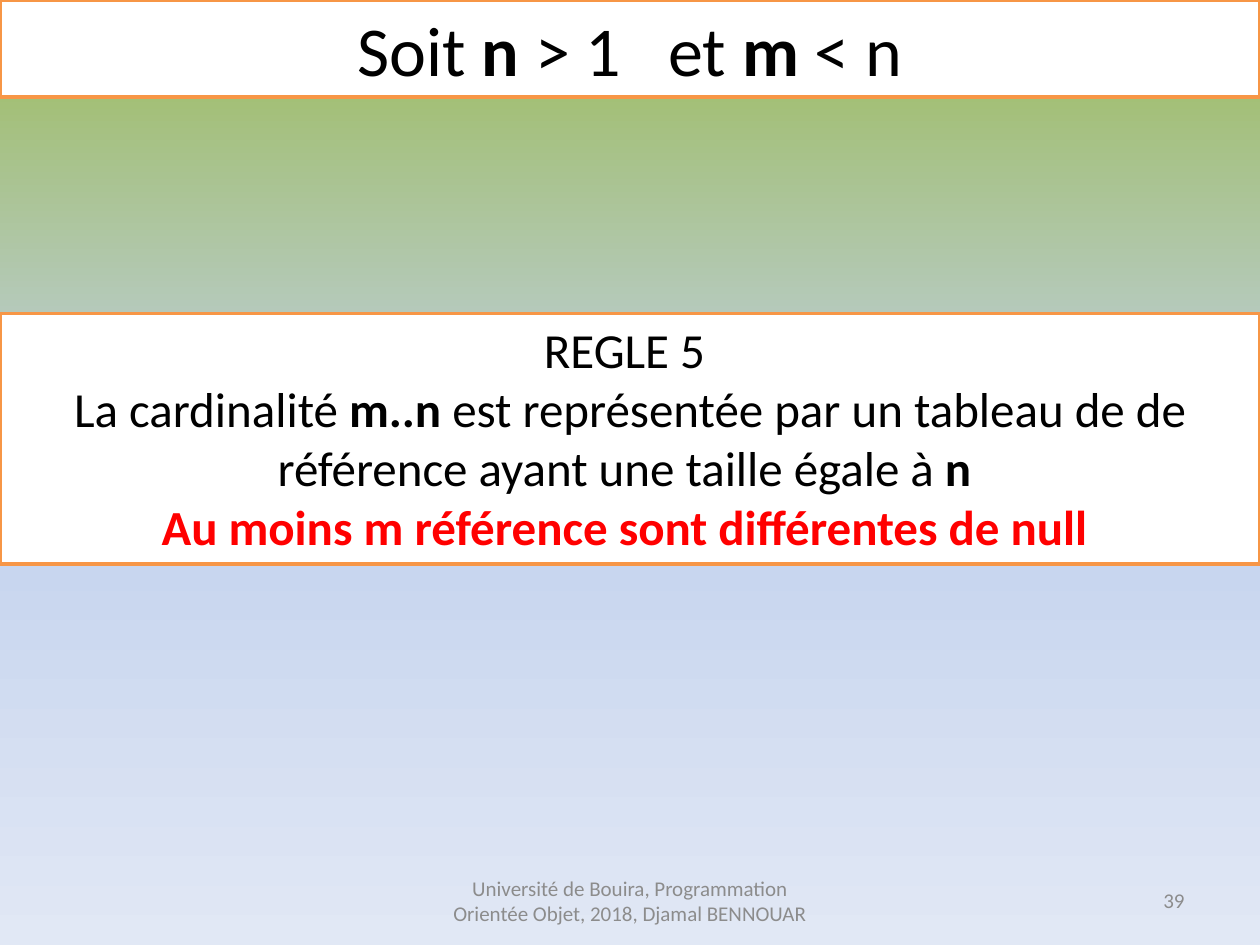
from copy import deepcopy

from pptx import Presentation
from pptx import util as u
from pptx.dml.color import RGBColor
from pptx.enum import shapes, text
from pptx.oxml import ns


def rgb(value):
    return RGBColor.from_string(value)


def add_run(p, content, size=12, color="000000", bold=False, spacing=0):
    r = p.add_run()
    r.text = content
    r.font.name = "Calibri"
    r.font.size = u.Pt(size)
    r.font.bold = bold
    r.font.color.rgb = rgb(color)
    if spacing:
        r.font._element.set("spc", str(spacing * 100))


class Deck:
    muted = "8C8C8C"
    border = "F79646"
    panel = "FFFFFF"
    alert = "FF0000"

    def __init__(self):
        self.prs = Presentation()
        self.prs.slide_width = u.Cm(25.4)
        self.prs.slide_height = u.Cm(19.05)
        self.s = self.prs.slides.add_slide(self.prs.slide_layouts[6])

    def background(self, *colors):
        fill = self.s.background.fill
        fill.gradient()
        fill.gradient_angle = 270
        stops = next(self.s._element.iter(ns.qn("a:gsLst")))
        while len(stops) < len(colors):
            stops.append(deepcopy(stops[0]))
        for i, (stop, color) in enumerate(zip(fill.gradient_stops, colors)):
            stop.position = i / (len(colors) - 1)
            stop.color.rgb = rgb(color)

    def footer(self, left, width, content, align):
        sp = self.s.shapes.add_textbox(u.Cm(left), u.Cm(17.65), u.Cm(width), u.Cm(1.01))
        tf = sp.text_frame
        tf.word_wrap = True
        tf.vertical_anchor = text.MSO_ANCHOR.MIDDLE
        p = tf.paragraphs[0]
        p.alignment = align
        add_run(p, content, color=self.muted)

    def band(self, top, height, size, paragraphs):
        sp = self.s.shapes.add_shape(
            shapes.MSO_SHAPE.RECTANGLE, 0, u.Cm(top), self.prs.slide_width, u.Cm(height))
        sp.shadow.inherit = False
        sp.fill.solid()
        sp.fill.fore_color.rgb = rgb(self.panel)
        sp.line.color.rgb = rgb(self.border)
        sp.line.width = u.Pt(2)
        tf = sp.text_frame
        tf.word_wrap = True
        tf.auto_size = text.MSO_AUTO_SIZE.SHAPE_TO_FIT_TEXT
        tf.vertical_anchor = text.MSO_ANCHOR.TOP
        for i, runs in enumerate(paragraphs):
            p = tf.add_paragraph() if i else tf.paragraphs[0]
            p.alignment = text.PP_ALIGN.CENTER
            for content, style in runs:
                add_run(p, content, size=size, **style)


def main():
    deck = Deck()
    plain, bold = {}, {"bold": True}
    deck.background("9BBB59", "C2D1ED", "E1E8F5")
    deck.footer(8.68, 8.04, "Université de Bouira, Programmation Orientée Objet, 2018, Djamal BENNOUAR",
                text.PP_ALIGN.CENTER)
    deck.footer(18.2, 5.93, "39", text.PP_ALIGN.RIGHT)
    deck.band(0, 1.96, 40, [
        [("Soit ", plain), ("n", bold), (" > 1", plain), (" ", {"spacing": 18}),
         ("et ", plain), ("m", bold), (" < n", plain)],
    ])
    deck.band(6.32, 5.05, 28, [
        [("REGLE 5 ", plain)],
        [("La cardinalité ", plain), ("m..n ", bold),
         ("est représentée par un tableau de de référence ayant une taille égale à ", plain),
         ("n ", bold)],
        [("Au moins m référence sont différentes de null ", {"bold": True, "color": deck.alert})],
    ])
    deck.prs.save("out.pptx")


if __name__ == "__main__":
    main()
